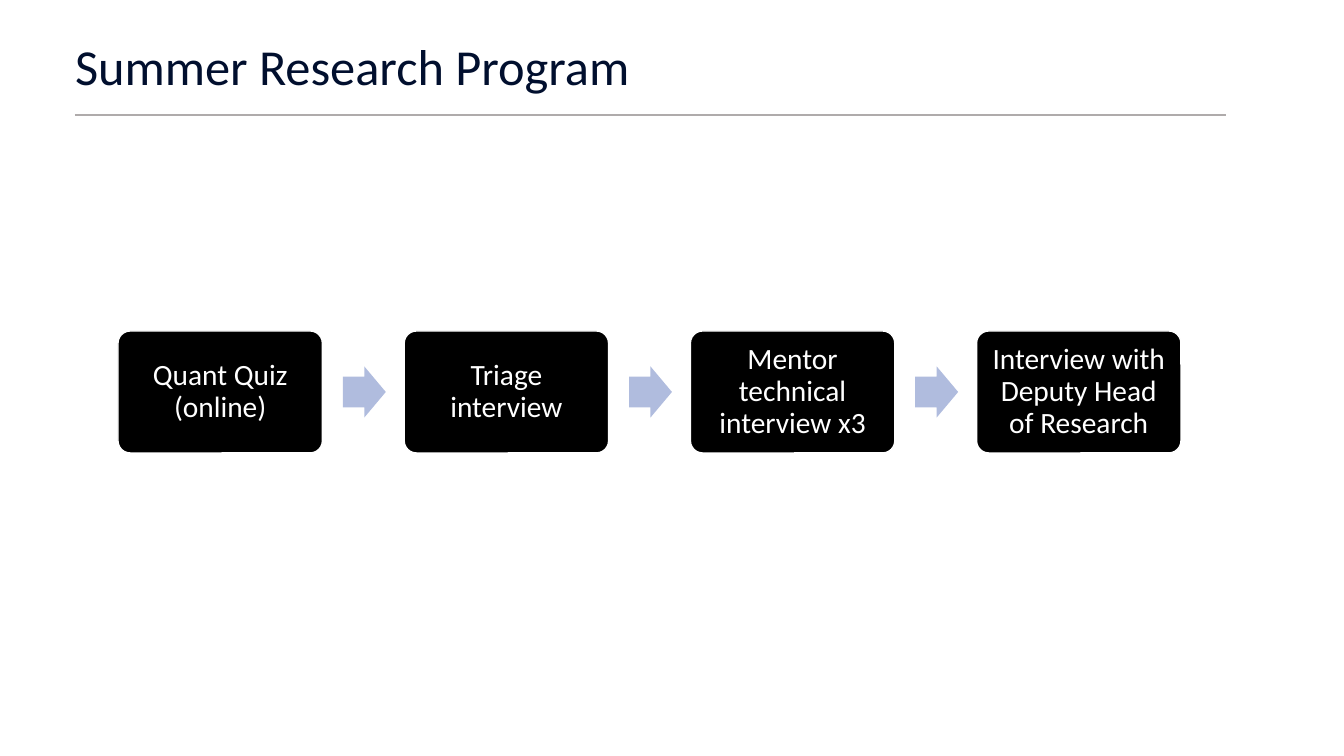
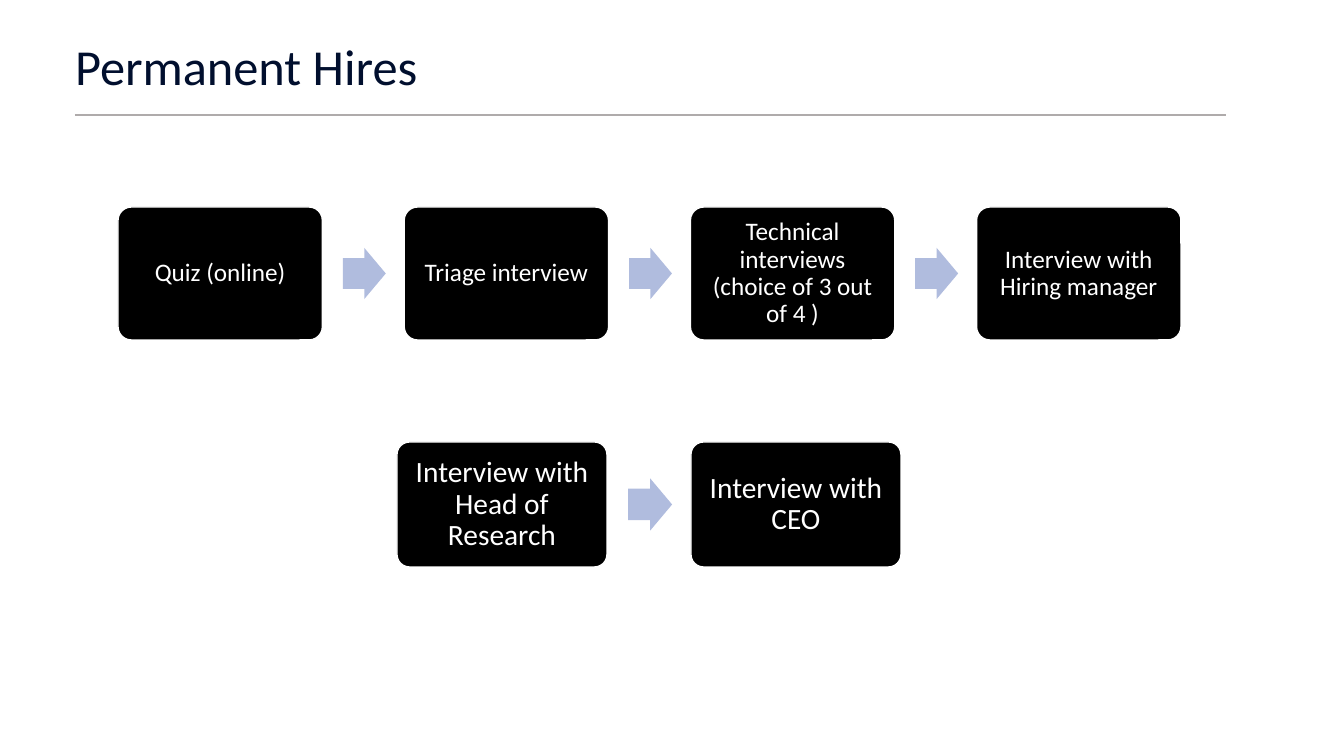
from lxml import etree
from pptx import Presentation
from pptx.dml.color import RGBColor
from pptx.enum.shapes import MSO_CONNECTOR, MSO_SHAPE
from pptx.enum.text import MSO_ANCHOR as ANCHOR, MSO_AUTO_SIZE as AUTO, PP_ALIGN as ALIGN
from pptx.oxml.ns import qn
from pptx.util import Emu, Pt

# Shared style
NAVY = RGBColor(0x01, 0x0F, 0x2E)
GREY = RGBColor(0xAF, 0xAB, 0xAB)
BLACK = RGBColor(0x00, 0x00, 0x00)
WHITE = RGBColor(0xFF, 0xFF, 0xFF)
PALE_BLUE = RGBColor(0xB0, 0xBC, 0xDE)
FONT = "Calibri"
TITLE_ONLY = 5
TITLE_BOX = (75, 42, 865, 112)
RULE = (75, 115, 1226)

# Flow proportions, as parts of one step's width
GAP = 0.4
ARROW_START = 1.1
ARROW_WIDTH = 0.21
ARROW_HEIGHT = 0.25


def px(n):
    """Pixels to EMU, at 100.8 pixels to the inch."""
    return Emu(round(n * 914400 / 100.8))


def set_text(sp, text, size, color, align, anchor, inset):
    tf = sp.text_frame
    tf.word_wrap = True
    tf.auto_size = AUTO.NONE
    tf.vertical_anchor = anchor
    tf.margin_left = tf.margin_right = px(inset)
    tf.margin_top = tf.margin_bottom = px(inset)
    p = tf.paragraphs[0]
    p.alignment = align
    p.line_spacing = 0.9
    r = p.add_run()
    r.text = text
    r.font.name = FONT
    r.font.size = Pt(size)
    r.font.color.rgb = color


def add_header(s, text):
    # Title
    sp = s.shapes.title
    sp.left, sp.top, sp.width, sp.height = map(px, TITLE_BOX)
    set_text(sp, text, 36, NAVY, ALIGN.LEFT, ANCHOR.TOP, 0)
    # Rule below the title
    left, y, right = RULE
    rule = s.shapes.add_connector(MSO_CONNECTOR.STRAIGHT, px(left), px(y), px(right), px(y))
    rule.line.color.rgb = GREY
    rule.line.width = Pt(1.25)
    etree.SubElement(rule.element.spPr, qn("a:effectLst"))


def add_block(s, kind, box, fill):
    sp = s.shapes.add_shape(kind, *map(px, box))
    sp.shadow.inherit = False
    sp.fill.solid()
    sp.fill.fore_color.rgb = fill
    return sp


def add_flow(s, box, steps, size, inset):
    """A row of steps with arrows between them, filling the box."""
    left, top, width, height = box
    step_w = width / (len(steps) + GAP * (len(steps) - 1))
    arrow_h = ARROW_HEIGHT * step_w
    for i, text in enumerate(steps):
        x = left + i * step_w * (1 + GAP)
        # Step
        sp = add_block(s, MSO_SHAPE.ROUNDED_RECTANGLE, (x, top, step_w, height), BLACK)
        sp.adjustments[0] = 0.1
        sp.line.color.rgb = WHITE
        sp.line.width = Pt(1)
        set_text(sp, text, size, WHITE, ALIGN.CENTER, ANCHOR.MIDDLE, inset)
        # Arrow to the next step
        if i < len(steps) - 1:
            arrow = add_block(s, MSO_SHAPE.RIGHT_ARROW,
                              (x + ARROW_START * step_w, top + (height - arrow_h) / 2,
                               ARROW_WIDTH * step_w, arrow_h), PALE_BLUE)
            arrow.adjustments[0] = 0.6
            arrow.adjustments[1] = 0.5
            arrow.line.fill.background()


def add_process_slide(prs, title, flows):
    s = prs.slides.add_slide(prs.slide_layouts[TITLE_ONLY])
    add_header(s, title)
    for flow in flows:
        add_flow(s, *flow)


prs = Presentation()
prs.slide_width, prs.slide_height = px(1344), px(756)

add_process_slide(prs, "Summer Research Program", [
    ((118, 331, 1063, 122),
     ["Quant Quiz (online)", "Triage interview", "Mentor technical interview x3",
      "Interview with Deputy Head of Research"], 21, 9),
])
add_process_slide(prs, "Permanent Hires", [
    ((118, 207, 1063, 133),
     ["Quiz (online)", "Triage interview", "Technical interviews (choice of 3 out of 4 )",
      "Interview with Hiring manager"], 18, 7),
    ((397, 442, 504, 125),
     ["Interview with Head of Research", "Interview with CEO"], 21, 9),
])

prs.save("out.pptx")
